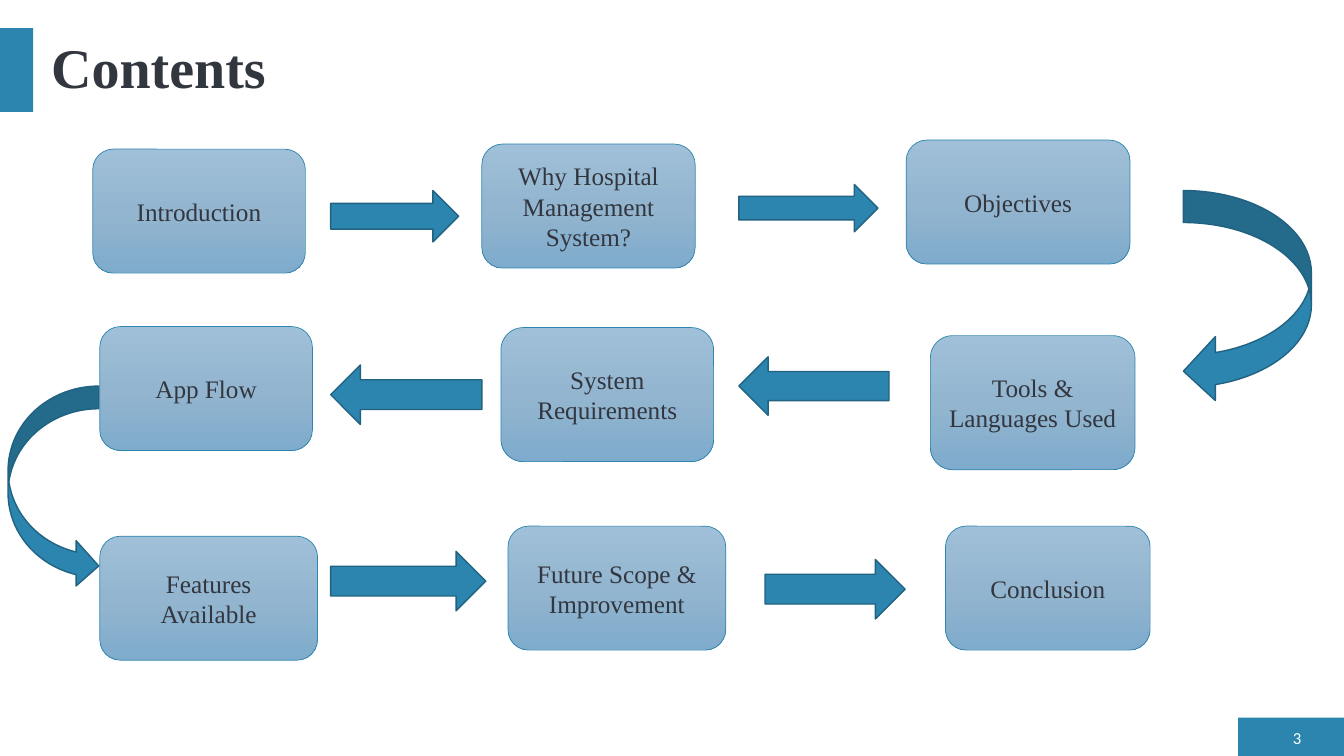
from copy import deepcopy
from dataclasses import dataclass

from pptx import Presentation, util as u
from pptx.dml.color import RGBColor
from pptx.enum import shapes, text
from pptx.oxml.ns import qn
from pptx.shapes.autoshape import Shape
from pptx.slide import Slide

SLIDE_WIDTH, SLIDE_HEIGHT = u.Inches(13.33), u.Inches(7.5)
COLUMNS, ROWS = 160, 90
COLORS = {
    "accent": "2C85AE",
    "arrow_line": "216281",
    "ink": "32363F",
    "white": "FFFFFF",
    "step_top": "A0C0D9",
    "step_middle": "93B5CF",
    "step_bottom": "7FABCC",
}
SERIF, SANS = "Times New Roman", "Calibri"
Kind = shapes.MSO_SHAPE


@dataclass(frozen=True)
class Area:
    """A rectangle in columns and rows of the slide grid."""
    column: float
    row: float
    columns: float
    rows: float

    def lengths(self) -> tuple[int, int, int, int]:
        across, down = SLIDE_WIDTH / COLUMNS, SLIDE_HEIGHT / ROWS
        return (round(self.column * across), round(self.row * down),
                round(self.columns * across), round(self.rows * down))


@dataclass(frozen=True)
class Step:
    label: str
    area: Area


@dataclass(frozen=True)
class Arrow:
    kind: shapes.MSO_SHAPE
    area: Area


LOW, TALL = 14.76, 15.96
BARS = [Area(147.4, 85.44, 12.6, 4.56), Area(0, 3.36, 3.96, 9.96)]
STEPS = [
    Step("Introduction", Area(11.04, 17.76, 25.32, LOW)),
    Step("Why Hospital Management System?", Area(57.36, 17.16, 25.4, LOW)),
    Step("Objectives", Area(107.88, 16.68, 26.64, LOW)),
    Step("Tools & Languages Used", Area(110.76, 39.96, 24.36, TALL)),
    Step("System Requirements", Area(59.64, 39, 25.32, TALL)),
    Step("App Flow", Area(11.88, 38.88, 25.32, LOW)),
    Step("Features Available", Area(11.88, 63.84, 25.92, LOW)),
    Step("Future Scope &\nImprovement", Area(60.48, 62.64, 25.92, LOW)),
    Step("Conclusion", Area(112.56, 62.64, 24.36, LOW)),
]
ARROWS = [
    Arrow(Kind.RIGHT_ARROW, Area(39.36, 22.68, 15.24, 6.12)),
    Arrow(Kind.RIGHT_ARROW, Area(87.96, 21.96, 16.56, 5.64)),
    Arrow(Kind.CURVED_LEFT_ARROW, Area(140.88, 22.68, 15.24, 25.32)),
    Arrow(Kind.LEFT_ARROW, Area(87.96, 42.48, 17.88, 6.96)),
    Arrow(Kind.LEFT_ARROW, Area(39.36, 43.44, 18, 7.08)),
    Arrow(Kind.CURVED_RIGHT_ARROW, Area(0.96, 45.96, 10.8, 24.12)),
    Arrow(Kind.RIGHT_ARROW, Area(39.36, 65.64, 18.48, 7.08)),
    Arrow(Kind.RIGHT_ARROW, Area(91.08, 66.6, 16.68, 7.08)),
]


def color(name: str) -> RGBColor:
    return RGBColor.from_string(COLORS[name])


def write(shape: Shape, words: str, *, size: float, font: str = SERIF,
          ink: str = "ink", bold: bool = False, spacing: float = 1.0,
          align: text.PP_ALIGN = text.PP_ALIGN.CENTER) -> None:
    frame = shape.text_frame
    frame.word_wrap = True
    frame.vertical_anchor = text.MSO_ANCHOR.MIDDLE
    frame.text = words
    for paragraph in frame.paragraphs:
        paragraph.alignment = align
        paragraph.line_spacing = spacing
        for run in paragraph.runs:
            run.font.size = u.Pt(size)
            run.font.name = font
            run.font.bold = bold
            run.font.color.rgb = color(ink)


def add_shape(slide: Slide, kind: shapes.MSO_SHAPE, area: Area,
              line: str | None = None, line_width: float = 1) -> Shape:
    shape = slide.shapes.add_shape(kind, *area.lengths())
    shape.shadow.inherit = False
    shape.fill.solid()
    shape.fill.fore_color.rgb = color("accent")
    if line:
        shape.line.color.rgb = color(line)
        shape.line.width = u.Pt(line_width)
    else:
        shape.line.fill.background()
    return shape


def shade(shape: Shape) -> None:
    """Fill with the three-stop gradient, lightest at the top."""
    shape.fill.gradient()
    shape.fill.gradient_angle = 270
    stop_list = shape.fill._xPr.find(".//" + qn("a:gsLst"))
    stop_list.insert(1, deepcopy(stop_list[0]))
    names = ("step_top", "step_middle", "step_bottom")
    for index, (stop, name) in enumerate(zip(shape.fill.gradient_stops, names)):
        stop.position = index / 2
        stop.color.rgb = color(name)


def add_step(slide: Slide, step: Step) -> None:
    shape = add_shape(slide, Kind.ROUNDED_RECTANGLE, step.area, "accent", 0.5)
    shade(shape)
    write(shape, step.label, size=18)


def add_text_box(slide: Slide, area: Area) -> Shape:
    return slide.shapes.add_textbox(*area.lengths())


def main() -> None:
    presentation = Presentation()
    presentation.slide_width, presentation.slide_height = SLIDE_WIDTH, SLIDE_HEIGHT
    slide = presentation.slides.add_slide(presentation.slide_layouts[6])

    for bar in BARS:
        add_shape(slide, Kind.RECTANGLE, bar)
    write(add_text_box(slide, Area(4.92, 3.36, 151.2, 9.96)), "Contents",
          size=40, bold=True, spacing=0.9, align=text.PP_ALIGN.LEFT)
    write(add_text_box(slide, Area(151.2, 86.4, 4.92, 2.76)), "3",
          size=12, font=SANS, ink="white", align=text.PP_ALIGN.RIGHT)
    for step in STEPS:
        add_step(slide, step)
    for arrow in ARROWS:
        add_shape(slide, arrow.kind, arrow.area, "arrow_line")

    presentation.save("out.pptx")


if __name__ == "__main__":
    main()
